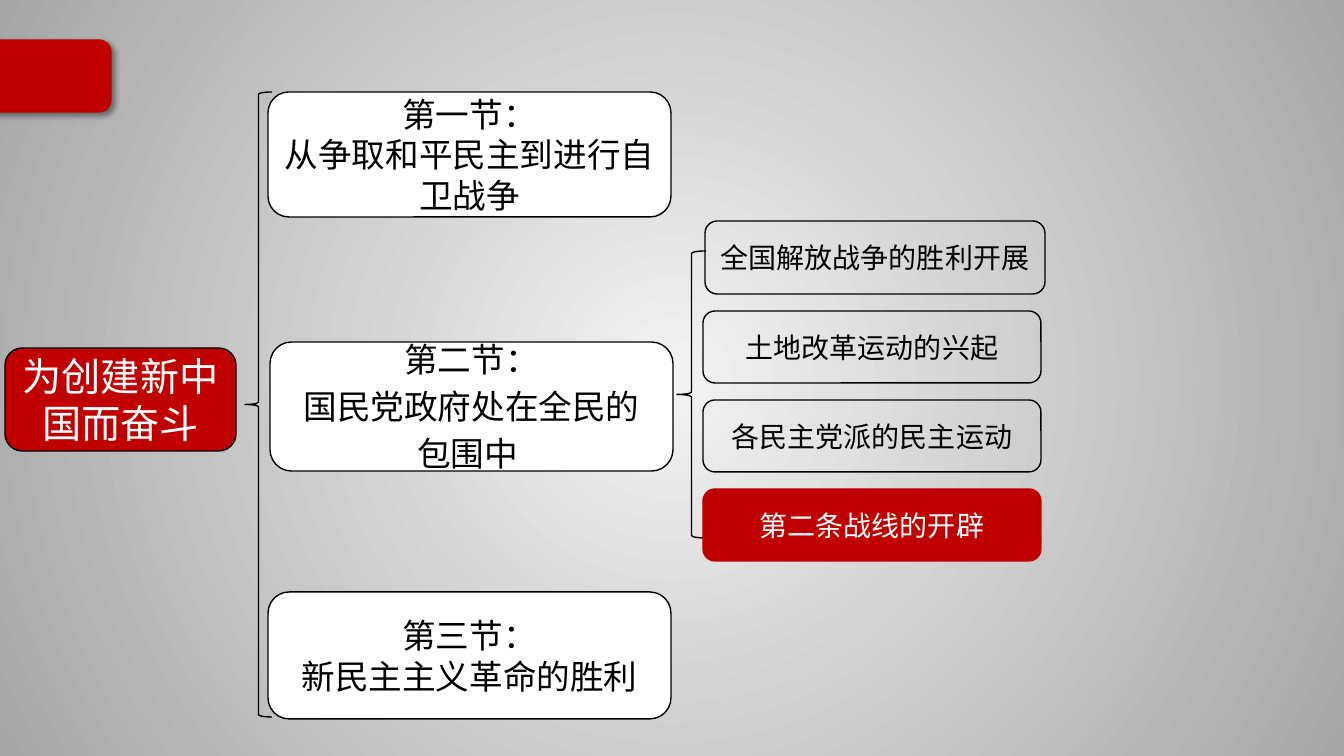
"""Builds the chapter outline slide: one root topic, three sections and four subsections."""
import pptx
import pptx.util
import pptx.dml.color
import pptx.enum.shapes
import pptx.enum.text
import pptx.oxml
import pptx.oxml.ns

RGBColor = pptx.dml.color.RGBColor
MSO_SHAPE = pptx.enum.shapes.MSO_SHAPE
Pt = pptx.util.Pt
qn = pptx.oxml.ns.qn
NS = pptx.oxml.ns.nsdecls("a")

RED = RGBColor(0xC0, 0x00, 0x00)
BLACK = RGBColor(0x00, 0x00, 0x00)
WHITE = RGBColor(0xFF, 0xFF, 0xFF)
LIGHT_GREY = RGBColor(0xF2, 0xF2, 0xF2)
MID_GREY = RGBColor(0xA6, 0xA6, 0xA6)
FONT = "Noto Sans CJK SC"
PX = 914400 / 100.8


def add_shape(s, kind, box, fill=None, line=BLACK):
    sp = s.shapes.add_shape(kind, *[round(v * PX) for v in box])
    sp.shadow.inherit = False
    if fill is None:
        sp.fill.background()
    else:
        sp.fill.solid()
        sp.fill.fore_color.rgb = fill
    sp.line.color.rgb = line
    sp.line.width = Pt(1)
    return sp


def add_topic(s, box, text, size, color=BLACK, fill=None, line=BLACK, gap=0):
    tf = add_shape(s, MSO_SHAPE.ROUNDED_RECTANGLE, box, fill, line).text_frame
    tf.word_wrap = True
    tf.vertical_anchor = pptx.enum.text.MSO_ANCHOR.MIDDLE
    tf.text = text
    for i, p in enumerate(tf.paragraphs):
        p.alignment = pptx.enum.text.PP_ALIGN.CENTER
        p.space_before = Pt(gap if i else 0)
        for r in p.runs:
            r.font.size = Pt(size)
            r.font.name = FONT
            r.font.color.rgb = color
            ea = pptx.oxml.parse_xml(f'<a:ea {NS} typeface="{FONT}"/>')
            r.font._element.find(qn("a:latin")).addnext(ea)


prs = pptx.Presentation()
prs.slide_width = round(1344 * PX)
prs.slide_height = round(756 * PX)
s = prs.slides.add_slide(prs.slide_layouts[6])

bg = s.background.fill
bg.gradient()
for stop, color in zip(bg.gradient_stops, (LIGHT_GREY, MID_GREY)):
    stop.color.rgb = color
lin = s.element.find(".//" + qn("a:lin"))
lin.getparent().replace(lin, pptx.oxml.parse_xml(
    f'<a:path {NS} path="circle">'
    '<a:fillToRect l="50000" t="50000" r="50000" b="50000"/></a:path>'))

tab = add_shape(s, MSO_SHAPE.ROUNDED_RECTANGLE, (-18, 40, 129, 72), RED, RED)
tab.element.spPr.find(qn("a:effectLst")).append(pptx.oxml.parse_xml(
    f'<a:outerShdw {NS} blurRad="50800" dist="38100" dir="2700000" algn="tl">'
    '<a:srgbClr val="000000"><a:alpha val="40000"/></a:srgbClr></a:outerShdw>'))

add_topic(s, (5, 348, 231, 103), "为创建新中国而奋斗", 28, WHITE, RED)

for brace in ((245, 92, 27, 625), (677, 251, 29, 287)):
    add_shape(s, MSO_SHAPE.LEFT_BRACE, brace)

sections = [
    ((268, 92, 403, 125), "第一节：\n从争取和平民主到进行自卫战争", 0),
    ((270, 342, 403, 129), "第二节：\n国民党政府处在全民的\n包围中 ", 4.8),
    ((268, 592, 403, 127), "第三节：\n新民主主义革命的胜利", 0),
]
for box, text, gap in sections:
    add_topic(s, box, text, 24, fill=WHITE, gap=gap)

add_topic(s, (705, 221, 340, 73), "全国解放战争的胜利开展", 20)
for i, text in enumerate(("土地改革运动的兴起", "各民主党派的民主运动")):
    add_topic(s, (703, 311 + 89 * i, 338, 72), text, 20)
add_topic(s, (703, 489, 338, 72), "第二条战线的开辟", 20, WHITE, RED, RED)

prs.save("out.pptx")
